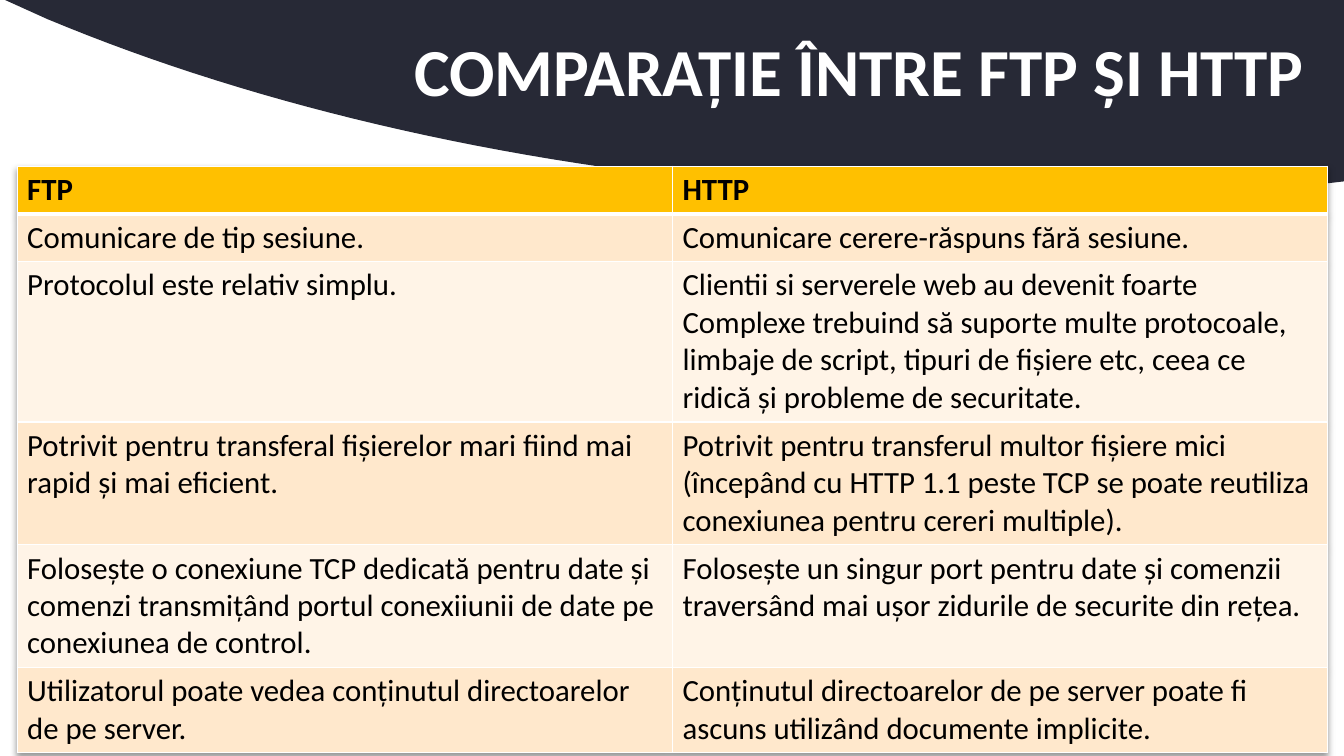
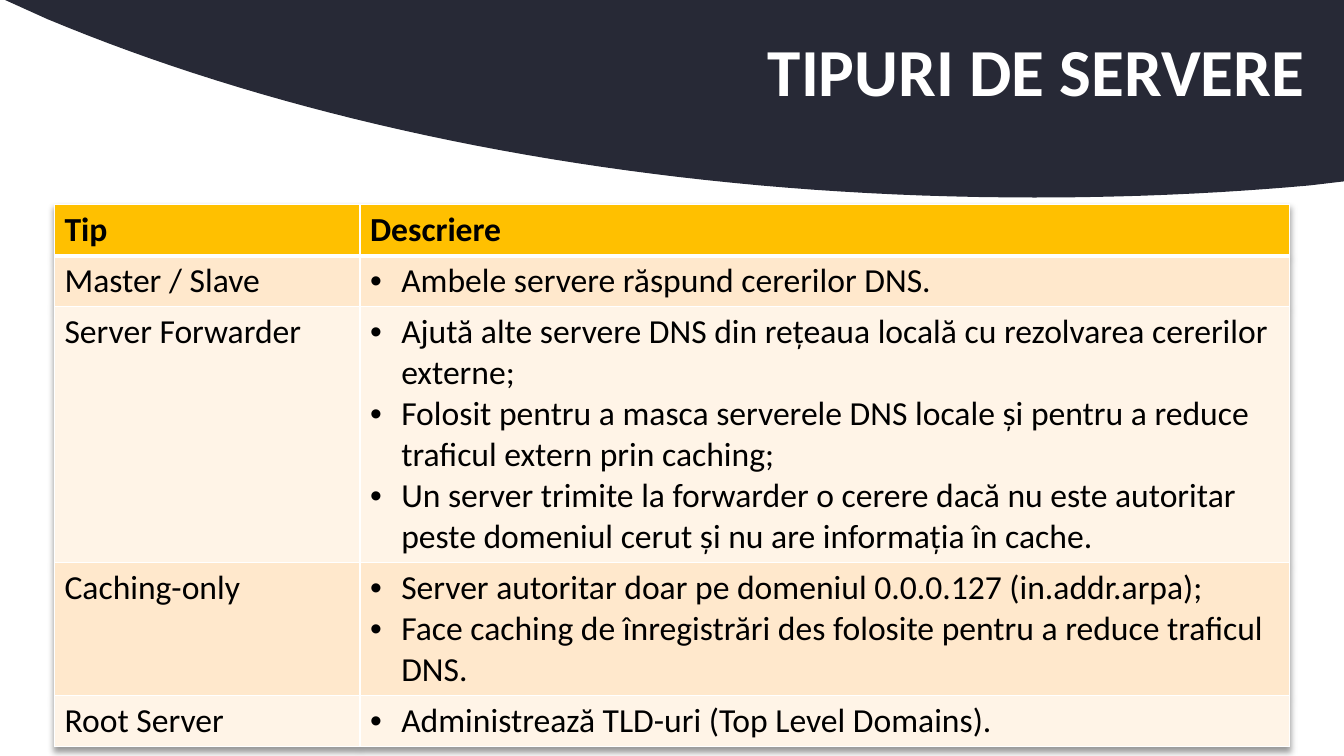
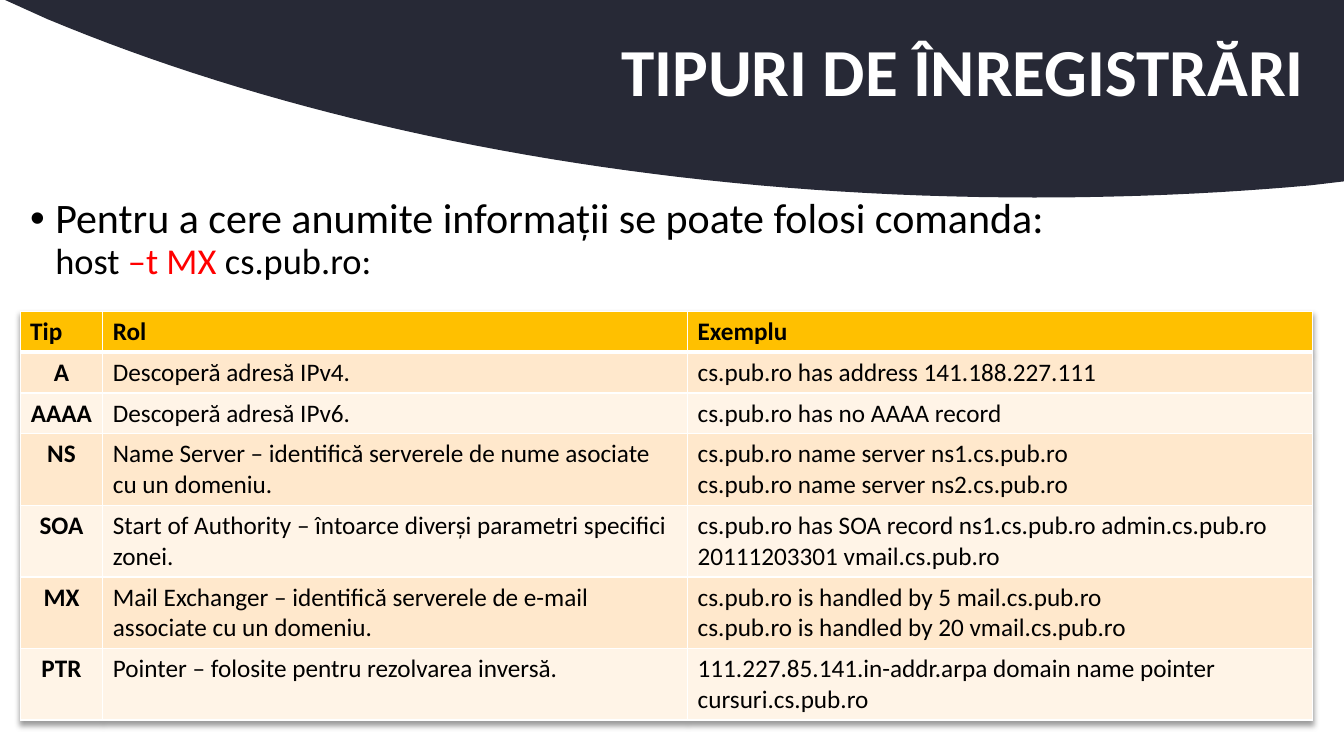
from dataclasses import dataclass

from lxml.etree import SubElement
from pptx import Presentation
from pptx.dml.color import RGBColor
from pptx.enum.text import MSO_ANCHOR, PP_ALIGN
from pptx.oxml import parse_xml
from pptx.oxml.ns import nsdecls, qn
from pptx.util import Inches, Pt

# Shared look
FONT = "Calibri"
DARK, GOLD, WHITE, BLACK, RED = "272936", "FFC000", "FFFFFF", "000000", "FF0000"
BANDS = ("FFE8CC", "FFF4E7")
CURVES = [
    ((12.99, 1.84), (12.1, 1.92), (11.19, 1.96), (10.26, 1.96)),
    ((10.26, 1.96), (6.54, 1.96), (3.13, 1.3), (0.47, 0.19)),
]
STEPS = 40


@dataclass
class Row:
    cells: list[str]  # one paragraph per text line
    lines: int = 1  # lines the row takes once wrapped


@dataclass
class Grid:
    left: float
    top: float
    cols: list[float]
    size: int
    rows: list[Row]
    dots: int = -1  # column with bullets
    keys: int = -1  # column in bold, centred


@dataclass
class Page:
    title: str
    grid: Grid


def color(code: str) -> RGBColor:
    return RGBColor.from_string(code)


def style(run, size: float, code: str = BLACK, bold: bool = False) -> None:
    font = run.font
    font.name, font.size, font.bold = FONT, Pt(size), bold
    font.color.rgb = color(code)


def bullet(para, indent: float) -> None:
    props = para._p.get_or_add_pPr()
    props.set("marL", str(Inches(indent)))
    props.set("indent", str(-Inches(indent)))
    SubElement(props, qn("a:buFont")).set("typeface", "Arial")
    SubElement(props, qn("a:buChar")).set("char", "•")


# Dark band with a curved lower edge
def bezier(curve: tuple) -> list[tuple[int, int]]:
    points = []
    for step in range(STEPS + 1):
        t = step / STEPS
        parts = ((1 - t) ** 3, 3 * t * (1 - t) ** 2, 3 * t * t * (1 - t), t**3)
        x, y = (sum(w * p[axis] for w, p in zip(parts, curve)) for axis in (0, 1))
        points.append((Inches(x), Inches(y)))
    return points


def add_band(slide) -> None:
    edge = [(Inches(13.33), 0), (Inches(13.33), Inches(1.8))]
    for curve in CURVES:
        edge += bezier(curve)
    form = slide.shapes.build_freeform(Inches(0.05), 0)
    form.add_line_segments(edge, close=True)
    band = form.convert_to_shape()
    band.shadow.inherit = False
    band.fill.solid()
    band.fill.fore_color.rgb = color(DARK)
    band.line.fill.background()


def add_title(slide, text: str) -> None:
    box = slide.shapes.add_textbox(Inches(0.92), Inches(0.02), Inches(12.42), Inches(1.45))
    frame = box.text_frame
    frame.word_wrap = True
    frame.vertical_anchor = MSO_ANCHOR.MIDDLE
    frame.margin_right = Inches(0.4)
    frame.text = text
    para = frame.paragraphs[0]
    para.alignment = PP_ALIGN.RIGHT
    para.line_spacing = 0.9
    style(para.runs[0], 48, WHITE, True)


# Tables
def add_edges(cell, top: float, bottom: float) -> None:
    props = cell._tc.get_or_add_tcPr()
    for side, width in (("L", 1), ("R", 1), ("T", top), ("B", bottom)):
        line = SubElement(props, qn(f"a:ln{side}"), w=str(Pt(width)))
        fill = SubElement(line, qn("a:solidFill"))
        SubElement(fill, qn("a:srgbClr"), val=WHITE)


def add_shade(table) -> None:
    table._tbl.tblPr.insert(0, parse_xml(
        f'<a:effectLst {nsdecls("a")}>'
        '<a:outerShdw blurRad="50800" dist="38100" dir="5400000" algn="t" rotWithShape="0">'
        '<a:srgbClr val="000000"><a:alpha val="40000"/></a:srgbClr>'
        "</a:outerShdw></a:effectLst>"))


def fill_cell(cell, grid: Grid, r: int, c: int) -> None:
    head = r == 0
    add_edges(cell, 3 if r == 1 else 1, 3 if head else 1)
    cell.fill.solid()
    cell.fill.fore_color.rgb = color(GOLD if head else BANDS[(r - 1) % 2])
    cell.text_frame.text = grid.rows[r].cells[c]
    for para in cell.text_frame.paragraphs:
        if not head and c == grid.dots:
            bullet(para, 0.31)
        if not head and c == grid.keys:
            para.alignment = PP_ALIGN.CENTER
        style(para.runs[0], grid.size, bold=head or c == grid.keys)


def add_grid(slide, grid: Grid) -> None:
    highs = [row.lines * grid.size * 1.22 / 72 + 0.1 for row in grid.rows]
    table = slide.shapes.add_table(
        len(highs), len(grid.cols), Inches(grid.left), Inches(grid.top),
        Inches(sum(grid.cols)), Inches(sum(highs))).table
    add_shade(table)
    for c, width in enumerate(grid.cols):
        table.columns[c].width = Inches(width)
    for r, high in enumerate(highs):
        table.rows[r].height = Inches(high)
        for c in range(len(grid.cols)):
            fill_cell(table.cell(r, c), grid, r, c)


# Command line above the record table
def add_note(slide) -> None:
    box = slide.shapes.add_textbox(Inches(0.2), Inches(1.91), Inches(12.93), Inches(0.93))
    box.text_frame.word_wrap = True
    para = box.text_frame.paragraphs[0]
    para.line_spacing = 0.9
    bullet(para, 0.25)
    lead = para.add_run()
    lead.text = "Pentru a cere anumite informații se poate folosi comanda:"
    style(lead, 30)
    para.add_line_break()
    for text, code in (("host ", BLACK), ("–t MX", RED), (" cs.pub.ro:", BLACK)):
        run = para.add_run()
        run.text = text
        style(run, 26, code)


# Content
COMPARE = Page("COMPARAȚIE ÎNTRE FTP ȘI HTTP", Grid(0.17, 1.65, [6.5, 6.5], 22, [
    Row(["FTP", "HTTP"]),
    Row(["Comunicare de tip sesiune.", "Comunicare cerere-răspuns fără sesiune."]),
    Row(["Protocolul este relativ simplu.",
         "Clientii si serverele web au devenit foarte\n"
         "Complexe trebuind să suporte multe protocoale, limbaje de script, tipuri de "
         "fișiere etc, ceea ce ridică și probleme de securitate."], 4),
    Row(["Potrivit pentru transferal fișierelor mari fiind mai rapid și mai eficient.",
         "Potrivit pentru transferul multor fișiere mici (începând cu HTTP 1.1 peste TCP "
         "se poate reutiliza conexiunea pentru cereri multiple)."], 3),
    Row(["Folosește o conexiune TCP dedicată pentru date și comenzi transmițând portul "
         "conexiiunii de date pe conexiunea de control.",
         "Folosește un singur port pentru date și comenzii traversând mai ușor zidurile "
         "de securite din rețea."], 3),
    Row(["Utilizatorul poate vedea conținutul directoarelor de pe server.",
         "Conținutul directoarelor de pe server poate fi ascuns utilizând documente "
         "implicite."], 2),
]))

SERVERS = Page("TIPURI DE SERVERE", Grid(0.54, 2.03, [3.03, 9.22], 24, [
    Row(["Tip", "Descriere"]),
    Row(["Master / Slave", "Ambele servere răspund cererilor DNS."]),
    Row(["Server Forwarder",
         "Ajută alte servere DNS din rețeaua locală cu rezolvarea cererilor externe;\n"
         "Folosit pentru a masca serverele DNS locale și pentru a reduce traficul extern "
         "prin caching;\n"
         "Un server trimite la forwarder o cerere dacă nu este autoritar peste domeniul "
         "cerut și nu are informația în cache."], 6),
    Row(["Caching-only",
         "Server autoritar doar pe domeniul 0.0.0.127 (in.addr.arpa);\n"
         "Face caching de înregistrări des folosite pentru a reduce traficul DNS."], 3),
    Row(["Root Server", "Administrează TLD-uri (Top Level Domains)."]),
], dots=1))

RECORDS = Page("TIPURI DE ÎNREGISTRĂRI", Grid(0.2, 3.09, [0.82, 5.8, 6.2], 18, [
    Row(["Tip", "Rol", "Exemplu"]),
    Row(["A", "Descoperă adresă IPv4.", "cs.pub.ro has address 141.188.227.111"]),
    Row(["AAAA", "Descoperă adresă IPv6.", "cs.pub.ro has no AAAA record"]),
    Row(["NS", "Name Server – identifică serverele de nume asociate cu un domeniu.",
         "cs.pub.ro name server ns1.cs.pub.ro\ncs.pub.ro name server ns2.cs.pub.ro"], 2),
    Row(["SOA", "Start of Authority – întoarce diverși parametri specifici zonei.",
         "cs.pub.ro has SOA record ns1.cs.pub.ro admin.cs.pub.ro 20111203301 "
         "vmail.cs.pub.ro"], 2),
    Row(["MX", "Mail Exchanger – identifică serverele de e-mail associate cu un domeniu.",
         "cs.pub.ro is handled by 5 mail.cs.pub.ro\n"
         "cs.pub.ro is handled by 20 vmail.cs.pub.ro"], 2),
    Row(["PTR", "Pointer – folosite pentru rezolvarea inversă.",
         "111.227.85.141.in-addr.arpa domain name pointer cursuri.cs.pub.ro"], 2),
], keys=0))


def main() -> None:
    deck = Presentation()
    deck.slide_width, deck.slide_height = Inches(13.33), Inches(7.5)
    for page in (COMPARE, SERVERS, RECORDS):
        slide = deck.slides.add_slide(deck.slide_layouts[6])
        add_band(slide)
        add_title(slide, page.title)
        if page is RECORDS:
            add_note(slide)
        add_grid(slide, page.grid)
    deck.save("out.pptx")


if __name__ == "__main__":
    main()
